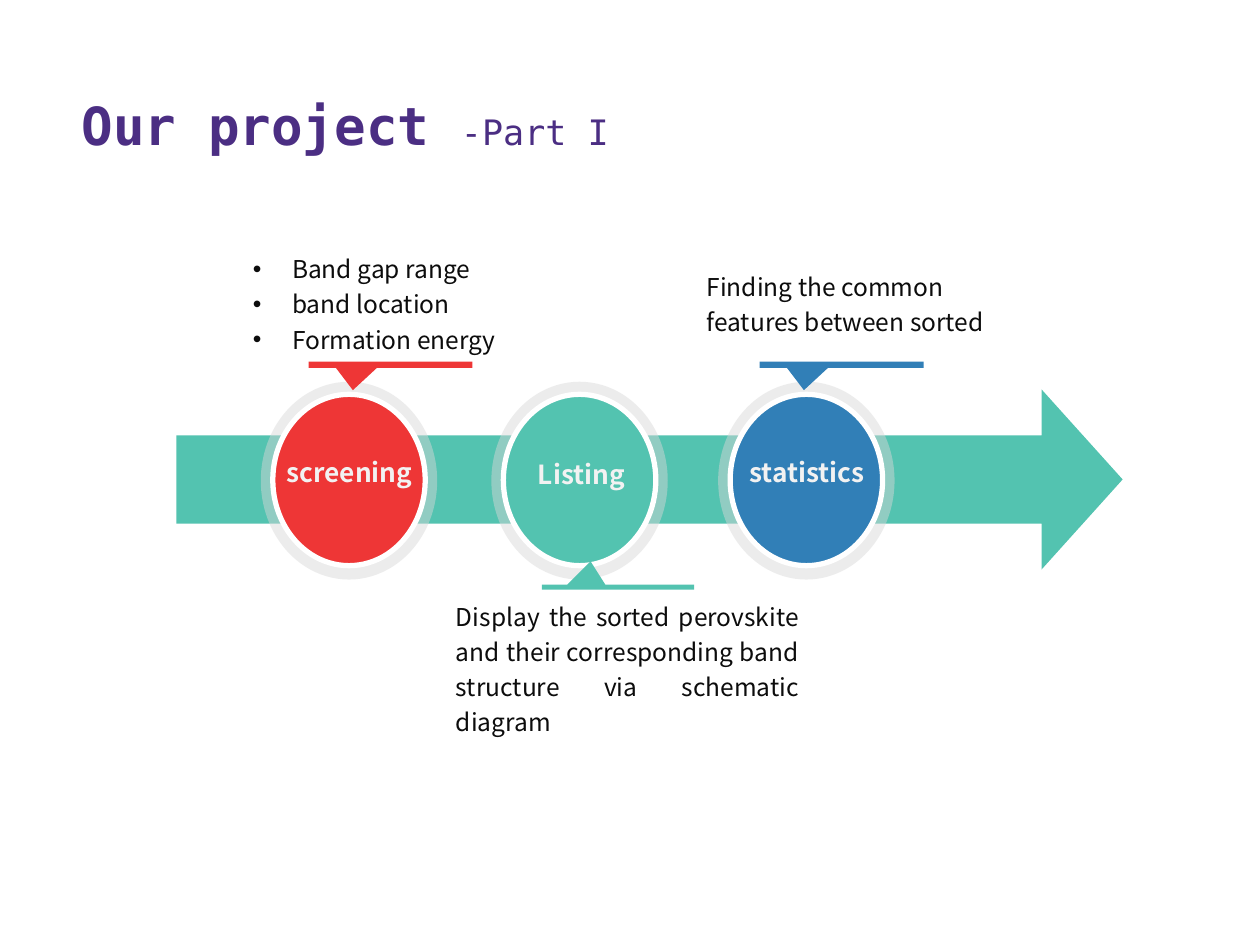
from lxml.etree import SubElement
from pptx import Presentation
from pptx.dml.color import RGBColor
from pptx.enum.shapes import MSO_SHAPE
from pptx.enum.text import MSO_AUTO_SIZE, PP_ALIGN
from pptx.oxml.ns import qn
from pptx.util import Inches, Pt

COLORS = {
    "teal": "53C3B0", "red": "EE3636", "blue": "317FB7", "halo": "D8D8D8",
    "white": "FFFFFF", "label": "F2F2F2", "body": "0C0C0C", "title": "4B2E83",
}
SANS, MONO = "Noto Sans CJK SC", "DejaVu Sans Mono"


class SlideBuilder:
    label = {"name": SANS, "size": Pt(15), "bold": True, "color": "label"}
    body = {"name": SANS, "size": Pt(14), "color": "body"}
    title = {"name": MONO, "size": Pt(30), "bold": True, "color": "title"}
    subtitle = {**title, "size": Pt(20), "bold": False}

    def __init__(self, slide):
        self.slide = slide

    def shape(self, kind, box, color, adjustments=(), parent=None):
        shapes = (parent or self.slide).shapes
        sp = shapes.add_shape(kind, *map(Inches, box))
        sp.shadow.inherit = False
        sp.fill.solid()
        sp.fill.fore_color.rgb = RGBColor.from_string(COLORS[color])
        sp.line.fill.background()
        for i, value in enumerate(adjustments):
            sp.adjustments[i] = value
        return sp

    def text(self, box, paragraphs, align=None, spacing=None, bullet=False,
             grow=True, parent=None):
        """Add a text box; each paragraph is a list of (text, format) runs."""
        shapes = (parent or self.slide).shapes
        tf = shapes.add_textbox(*map(Inches, box)).text_frame
        tf.word_wrap = True
        if grow:
            tf.auto_size = MSO_AUTO_SIZE.SHAPE_TO_FIT_TEXT
        for i, runs in enumerate(paragraphs):
            p = tf.add_paragraph() if i else tf.paragraphs[0]
            for name, value in {"alignment": align, "line_spacing": spacing}.items():
                setattr(p, name, value)
            if bullet:
                self.bullet(p)
            for text, style in runs:
                r = p.add_run()
                r.text = text
                for name, value in style.items():
                    if name == "color":
                        r.font.color.rgb = RGBColor.from_string(COLORS[value])
                    else:
                        setattr(r.font, name, value)

    def bullet(self, p):
        pPr = p._p.get_or_add_pPr()
        pPr.set("marL", str(Inches(0.31)))
        pPr.set("indent", str(-Inches(0.31)))
        SubElement(pPr, qn("a:buFont"), typeface="Arial")
        SubElement(pPr, qn("a:buChar"), char="•")

    def stage(self, left, label, color, label_box):
        """Add a labelled disc with a translucent halo as one group."""
        group = self.slide.shapes.add_group_shape()
        halo = self.shape(MSO_SHAPE.OVAL, (left, 3.03, 1.4, 1.57), "halo", parent=group)
        fill = halo.fill._xPr.find(qn("a:solidFill"))
        SubElement(fill[0], qn("a:alpha"), val="47000")
        disc = self.shape(MSO_SHAPE.OVAL, (left + 0.095, 3.13, 1.21, 1.36), color,
                          parent=group)
        disc.line.color.rgb = RGBColor.from_string(COLORS["white"])
        disc.line.width = Pt(3)
        self.text(label_box, [[(label, self.label)]], PP_ALIGN.CENTER,
                  grow=False, parent=group)

    def callout(self, box, color, tip):
        self.shape(MSO_SHAPE.RECTANGULAR_CALLOUT, box, color, tip)

    def note(self, box, lines, **options):
        self.text(box, [[(line, self.body)] for line in lines], spacing=1.2, **options)


def main():
    prs = Presentation()
    prs.slide_width, prs.slide_height = Inches(10), Inches(7.5)
    s = SlideBuilder(prs.slides.add_slide(prs.slide_layouts[6]))

    arrow = s.shape(MSO_SHAPE.DOWN_ARROW, (4.44, 0.05, 1.43, 7.51), "teal", (0.49, 0.45))
    arrow.rotation = 270

    for left, label, color, x, y in [
        (3.9, "Listing", "teal", 3.84, 3.59),
        (5.7, "statistics", "blue", 5.63, 3.57),
        (2.07, "screening", "red", 2, 3.57),
    ]:
        s.stage(left, label, color, (x, y, 1.55, 0.56))

    s.callout((4.3, 4.64, 1.21, 0.04), "teal", (-0.18, -5.1))
    for left, color in [(2.45, "red"), (6.03, "blue")]:
        s.callout((left, 2.87, 1.3, 0.05), color, (-0.23, 4.03))

    s.note((3.52, 4.68, 2.92, 1.23),
           ["Display the sorted perovskite and their corresponding band "
            "structure via schematic diagram"], align=PP_ALIGN.JUSTIFY)
    s.note((1.91, 1.92, 2.66, 0.95),
           ["Band gap range", "band location", "Formation energy"], bullet=True)
    s.note((5.51, 2.06, 2.5, 0.66), ["Finding the common features between sorted"])
    s.text((0.55, 0.69, 4.45, 0.6),
           [[("Our project ", s.title), ("-Part I", s.subtitle)]])

    prs.save("out.pptx")


if __name__ == "__main__":
    main()
